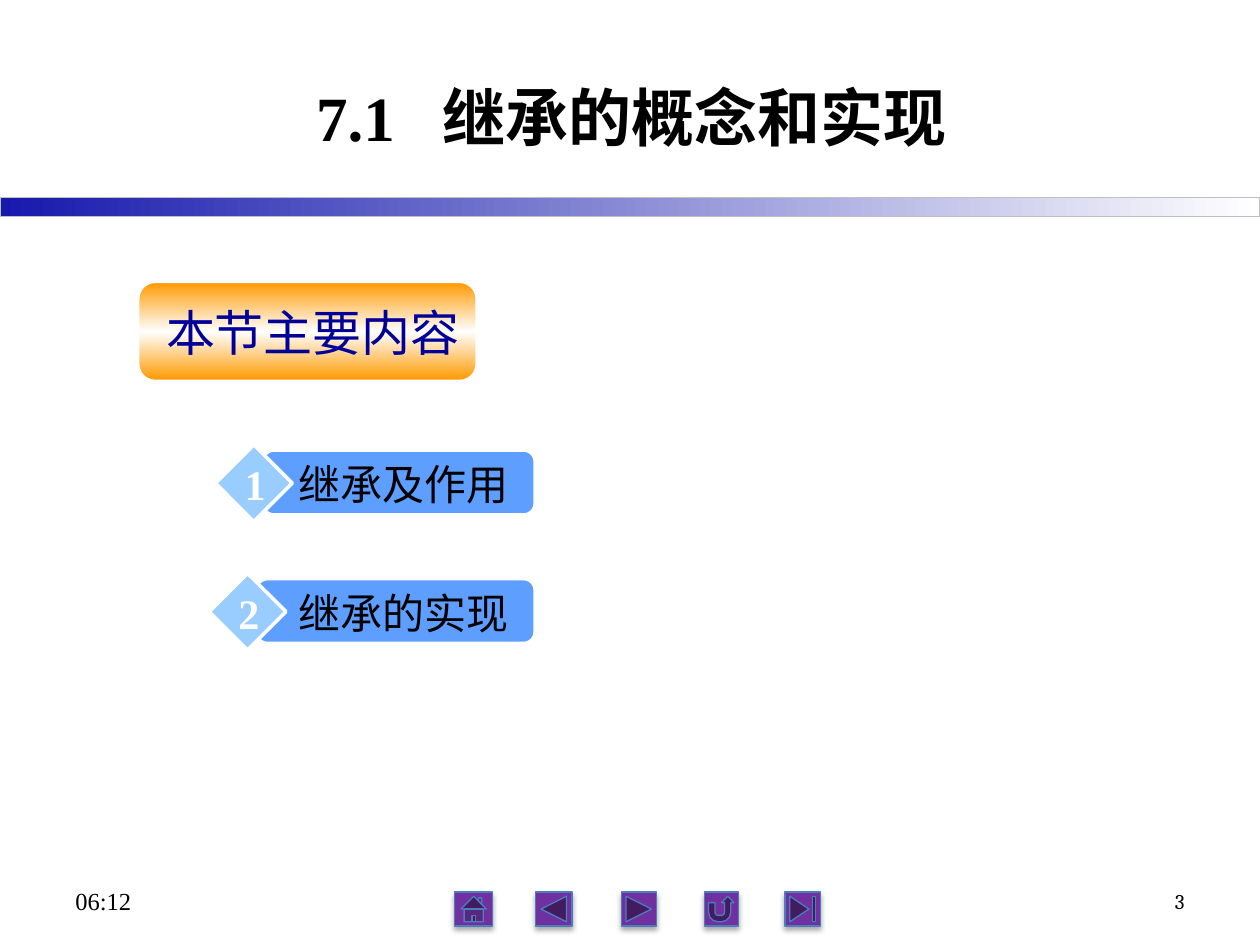
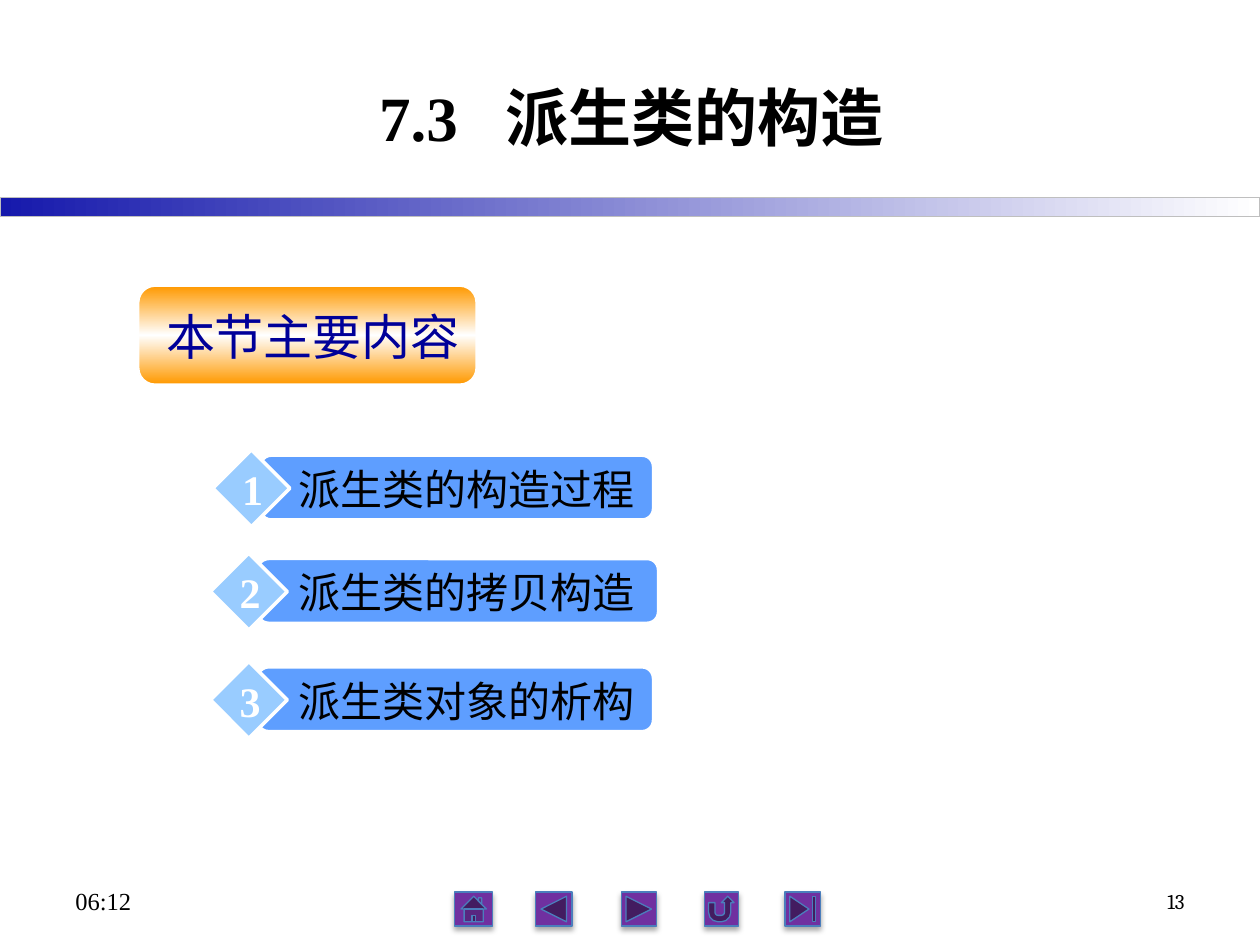
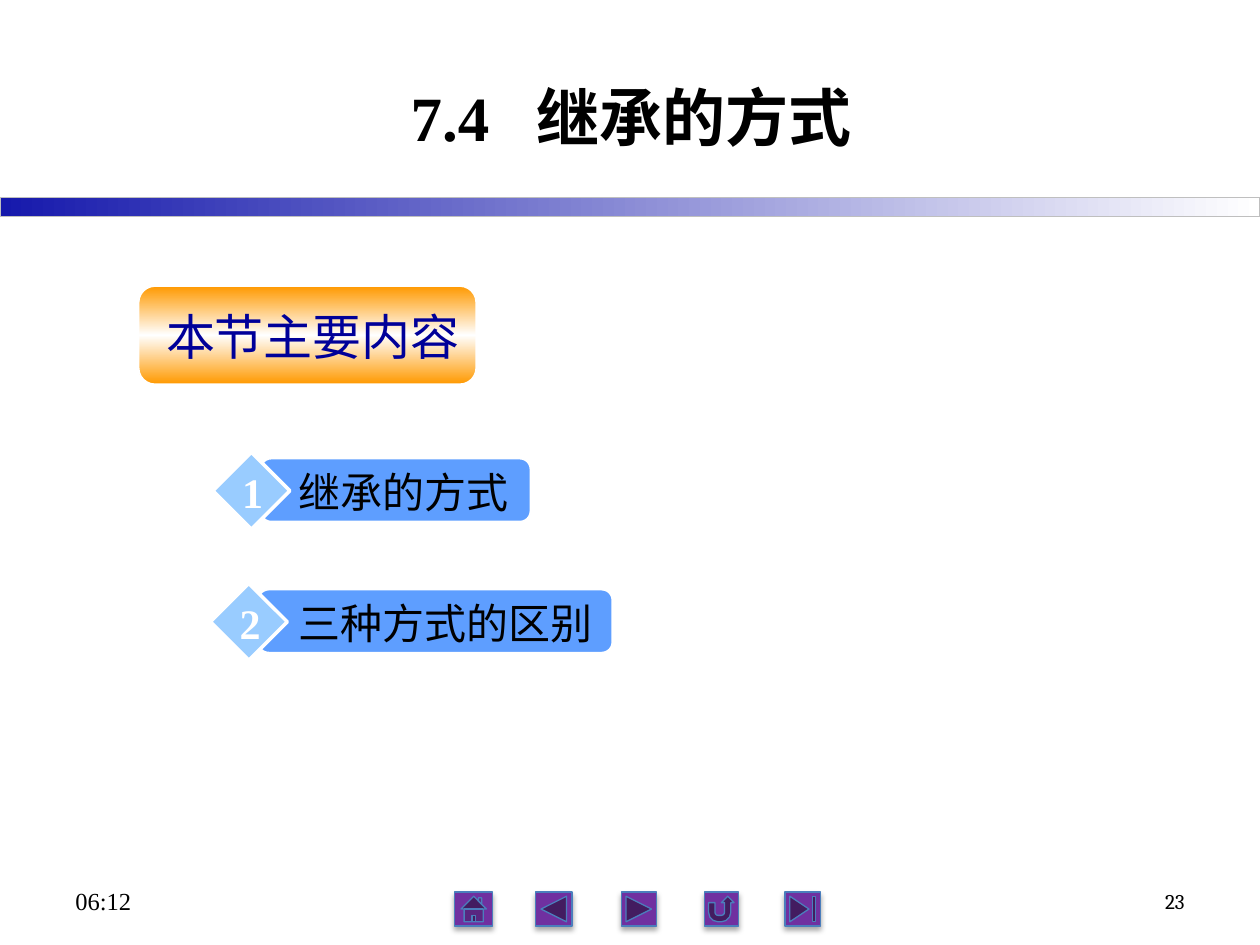
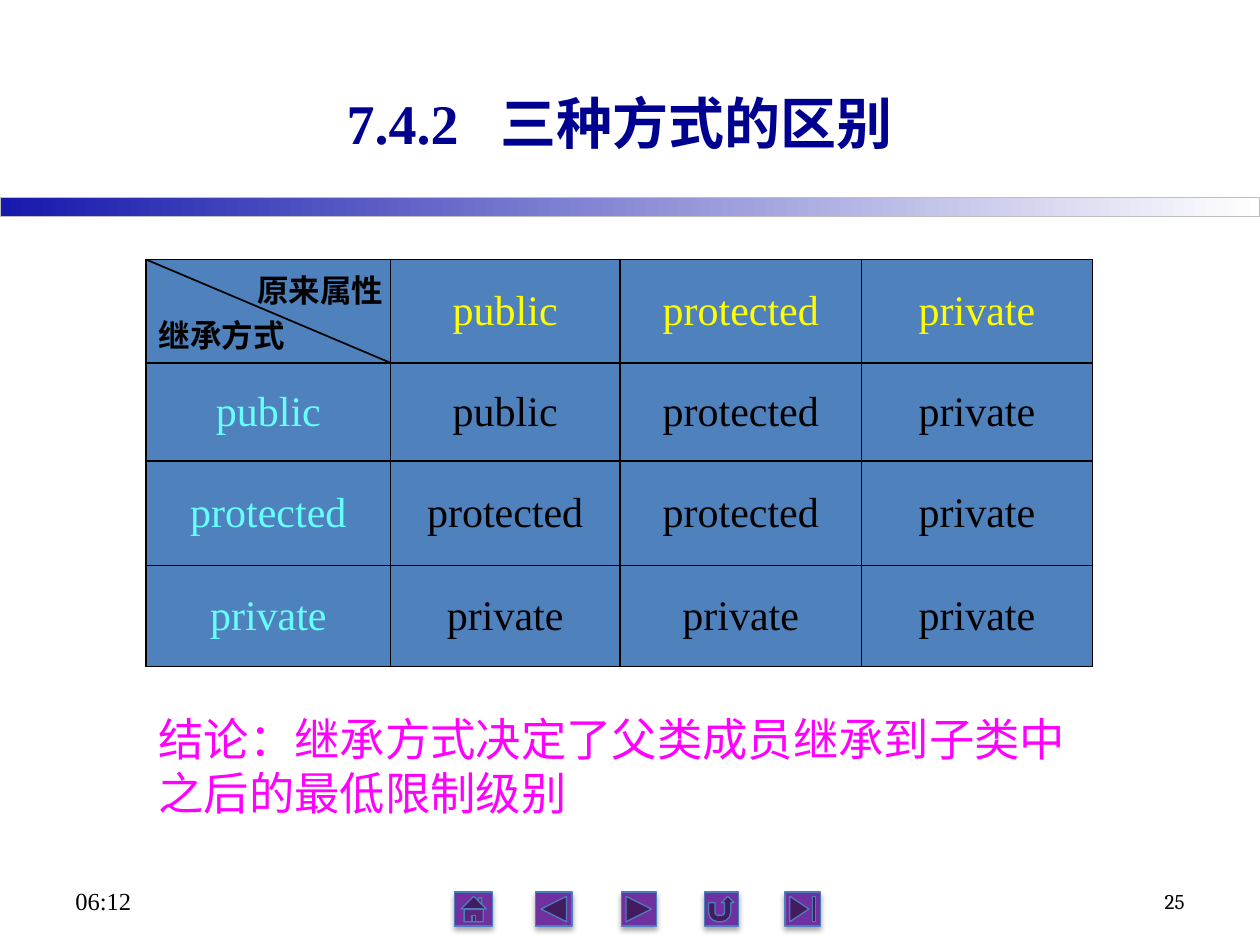
from itertools import pairwise, product

from lxml.etree import SubElement
from pptx import Presentation
from pptx.dml.color import RGBColor
from pptx.enum.shapes import MSO_CONNECTOR as Link, MSO_SHAPE as Kind
from pptx.enum.text import MSO_ANCHOR as Anchor, PP_ALIGN as Align
from pptx.oxml.ns import qn
from pptx.util import Inches, Pt

# Shared look
COLORS = {
    "black": "000000", "white": "FFFFFF", "navy": "000090", "blue": "000099",
    "band": "1619AC", "edge": "BFBFBF", "button": "7030A0", "rim": "4B7EBC",
    "orange": "FF9900", "bar": "5E9EFF", "gem": "99CCFF", "grid": "4F81BD",
    "yellow": "FFFF00", "cyan": "66FFFF", "pink": "FF00FF",
}
SERIF, SANS, BOOK, HAN = "Times New Roman", "Arial", "Cambria", "Noto Sans CJK SC"
TIME = "06:12"
BUTTONS = [  # kind, left, width
    (Kind.ACTION_BUTTON_BACK_OR_PREVIOUS, 4.25, 0.29),
    (Kind.ACTION_BUTTON_FORWARD_OR_NEXT, 4.93, 0.28),
    (Kind.ACTION_BUTTON_HOME, 3.61, 0.3),
    (Kind.ACTION_BUTTON_END, 6.23, 0.28),
    (Kind.ACTION_BUTTON_RETURN, 5.59, 0.27),
]

# Section slides: items are text, bar left, bar top, bar width
HEAD = "本节主要内容"
SECTIONS = [
    {"num": "7.1", "title": "继承的概念和实现", "page": "3", "top": 2.24, "items": [
        ("继承及作用", 2.09, 3.58, 2.15),
        ("继承的实现", 2.04, 4.6, 2.2)]},
    {"num": "7.3", "title": "派生类的构造", "page": "13", "top": 2.27, "items": [
        ("派生类的构造过程", 2.07, 3.62, 3.11),
        ("派生类的拷贝构造", 2.05, 4.44, 3.17),
        ("派生类对象的析构", 2.05, 5.3, 3.13)]},
    {"num": "7.4", "title": "继承的方式", "page": "23", "top": 2.27, "items": [
        ("继承的方式", 2.07, 3.64, 2.14),
        ("三种方式的区别", 2.05, 4.68, 2.81)]},
]

# Table slide
CORNER = [("原来属性", Align.RIGHT), ("继承方式", Align.LEFT)]
LEVELS = ["public", "protected", "private"]
COLS = [1.16, 3.1, 4.92, 6.84, 8.67]
ROWS = [2.06, 2.88, 3.66, 4.49, 5.29]
RESULT = "结论：继承方式决定了父类成员继承到子类中之后的最低限制级别"


def rgb(name):
    return RGBColor.from_string(COLORS[name])


def style(par, size, color, face=SERIF, bold=False, align=Align.LEFT):
    par.alignment = align
    font = par.font
    font.size, font.bold, font.name = Pt(size), bold, face
    font.color.rgb = rgb(color)
    props = par._p.get_or_add_pPr().get_or_add_defRPr()
    SubElement(props, qn("a:ea"), typeface=HAN)


def add_text(slide, text, box, size, color, anchor=Anchor.TOP, wrap=True, **look):
    frame = slide.shapes.add_textbox(*map(Inches, box)).text_frame
    frame.word_wrap, frame.vertical_anchor = wrap, anchor
    par = frame.paragraphs[0]
    par.text = text
    style(par, size, color, **look)
    return frame


def add_form(slide, kind, box, fill, line, width):
    form = slide.shapes.add_shape(kind, *map(Inches, box))
    form.shadow.inherit = False
    form.line.color.rgb, form.line.width = rgb(line), Pt(width)
    if isinstance(fill, str):
        form.fill.solid()
        form.fill.fore_color.rgb = rgb(fill)
    return form


def blend(form, names, angle):
    """Fill with evenly spaced gradient stops."""
    form.fill.gradient()
    form.fill.gradient_angle = angle
    stops = form._element.spPr.find(".//" + qn("a:gsLst"))
    stops.clear()
    for i, name in enumerate(names):
        stop = SubElement(stops, qn("a:gs"), pos=str(100000 * i // (len(names) - 1)))
        SubElement(stop, qn("a:srgbClr"), val=COLORS[name])


def add_shade(form):
    effects = form._element.spPr.find(qn("a:effectLst"))
    shade = SubElement(effects, qn("a:outerShdw"), blurRad=str(Pt(3.1)),
                       dist=str(Pt(1.8)), dir="5400000", rotWithShape="0")
    tint = SubElement(shade, qn("a:srgbClr"), val=COLORS["black"])
    SubElement(tint, qn("a:alpha"), val="35000")


def add_base(deck, num, title, page, spot=(1.11, 0.3), size=36, color="black"):
    """Start a slide with band, buttons, footer and title."""
    slide = deck.slides.add_slide(deck.slide_layouts[6])
    band = add_form(slide, Kind.RECTANGLE, (0, 1.57, 10, 0.15), None, "edge", 0.75)
    blend(band, ["band", "white"], 0)
    for kind, left, width in BUTTONS:
        add_shade(add_form(slide, kind, (left, 7.08, width, 0.27), "button", "rim", 0.75))
    add_text(slide, TIME, (0.5, 6.95, 2.33, 0.4), 14, "black", Anchor.MIDDLE)
    add_text(slide, page, (7.17, 6.95, 2.33, 0.4), 12, "black", Anchor.MIDDLE,
             face=BOOK, align=Align.RIGHT)
    frame = add_text(slide, num, (*spot, 7.8, 1.25), size, color, Anchor.MIDDLE,
                     bold=True, align=Align.CENTER)
    # A widened space parts number and title
    gap, name = (frame.paragraphs[0].add_run() for _ in range(2))
    gap.text, name.text = " ", title
    gap._r.get_or_add_rPr().set("spc", str(size * 50))
    return slide


def add_item(slide, num, text, left, top, width):
    gem = left - 0.38
    add_form(slide, Kind.ROUNDED_RECTANGLE, (left, top, width, 0.5), "bar", "white", 1)
    add_form(slide, Kind.DIAMOND, (gem, top - 0.05, 0.61, 0.61), "gem", "white", 2)
    add_text(slide, text, (2.27, top + 0.01, width, 0.5), 24, "black")
    add_text(slide, str(num), (gem + 0.13, top + 0.01, 0.37, 0.5), 24, "white",
             wrap=False, bold=True, align=Align.CENTER)


def add_section(deck, num, title, page, top, items):
    slide = add_base(deck, num, title, page)
    head = add_form(slide, Kind.ROUNDED_RECTANGLE, (1.1, top, 2.68, 0.78), None, "white", 1)
    blend(head, ["orange", "white", "orange"], 90)
    frame = add_text(slide, HEAD, (1.22, top + 0.07, 2.56, 0.57), 28, "blue", face=SANS)
    frame.margin_top, frame.margin_bottom = Inches(0.09), Inches(0.01)
    for i, item in enumerate(items, 1):
        add_item(slide, i, *item)


def frame_cell(cell):
    cell.fill.solid()
    cell.fill.fore_color.rgb = rgb("grid")
    props = cell._tc.get_or_add_tcPr()
    for i, side in enumerate(("lnL", "lnR", "lnT", "lnB")):
        line = props.makeelement(qn("a:" + side), {"w": str(Pt(1))})
        props.insert(i, line)
        SubElement(SubElement(line, qn("a:solidFill")), qn("a:srgbClr"), val=COLORS["black"])


def add_grid(slide):
    left, top = COLS[0], ROWS[0]
    box = left, top, COLS[-1] - left, ROWS[-1] - top
    table = slide.shapes.add_table(4, 4, *map(Inches, box)).table
    table.first_row = table.horz_banding = False
    for col, (a, b) in zip(table.columns, pairwise(COLS)):
        col.width = Inches(b - a)
    for row, (a, b) in zip(table.rows, pairwise(ROWS)):
        row.height = Inches(b - a)
    for r, c in product(range(4), repeat=2):
        cell = table.cell(r, c)
        frame_cell(cell)
        cell.vertical_anchor = Anchor.MIDDLE
        if r or c:
            # The stricter of the two levels wins
            par = cell.text_frame.paragraphs[0]
            par.text = LEVELS[max(r, c) - 1]
            color = "yellow" if r == 0 else "cyan" if c == 0 else "black"
            style(par, 24, color, align=Align.CENTER)
    # Split corner cell
    corner = table.cell(0, 0)
    corner.margin_top = corner.margin_bottom = Inches(0.02)
    corner.margin_right = Inches(0.06)
    corner.text = "\n".join(text for text, _ in CORNER)
    for par, (_, align) in zip(corner.text_frame.paragraphs, CORNER):
        style(par, 18, "black", bold=True, align=align)
    line = slide.shapes.add_connector(
        Link.STRAIGHT, *map(Inches, (left, top, COLS[1], ROWS[1])))
    line.line.color.rgb, line.line.width = rgb("black"), Pt(1)
    SubElement(line._element.spPr, qn("a:effectLst"))


def main():
    deck = Presentation()
    deck.slide_width, deck.slide_height = Inches(10), Inches(7.5)
    for section in SECTIONS:
        add_section(deck, **section)
    slide = add_base(deck, "7.4.2", "三种方式的区别", "25", (1.02, 0.34), 32, "navy")
    frame = add_text(slide, RESULT, (1.16, 5.55, 7.66, 1.12), 25.9, "pink", face=SANS)
    frame.margin_top = Inches(0.09)
    add_grid(slide)
    deck.save("out.pptx")


if __name__ == "__main__":
    main()
